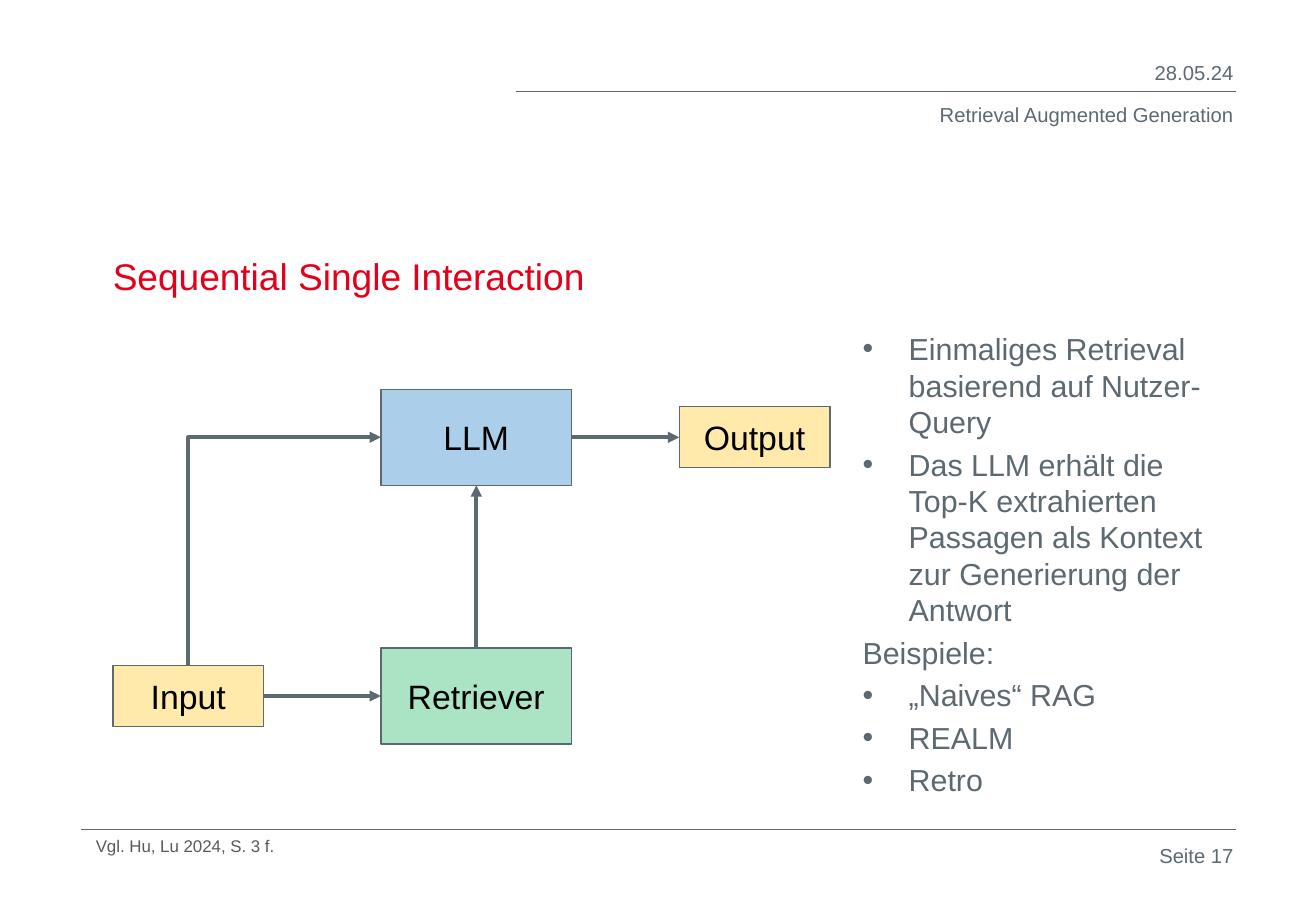
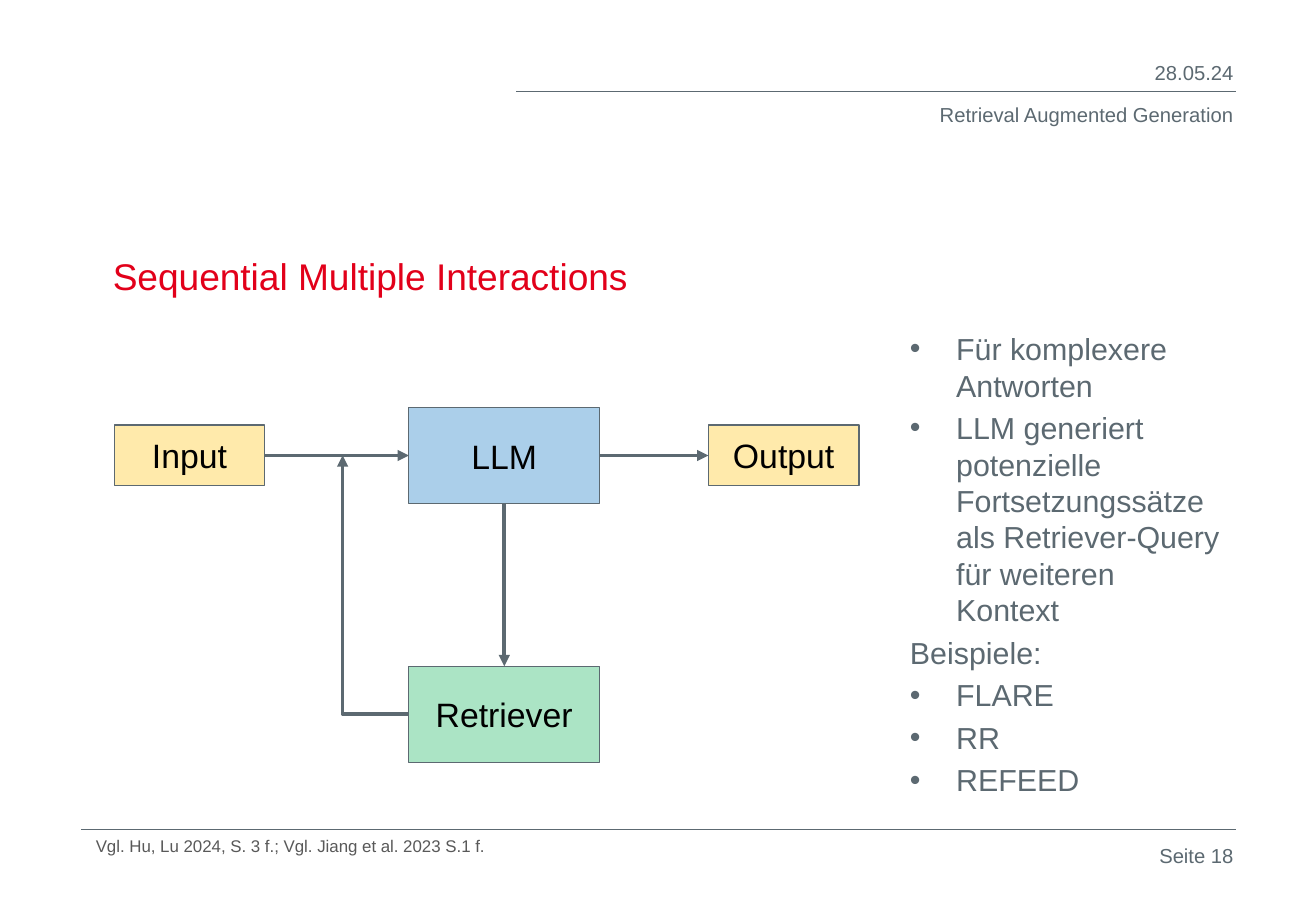
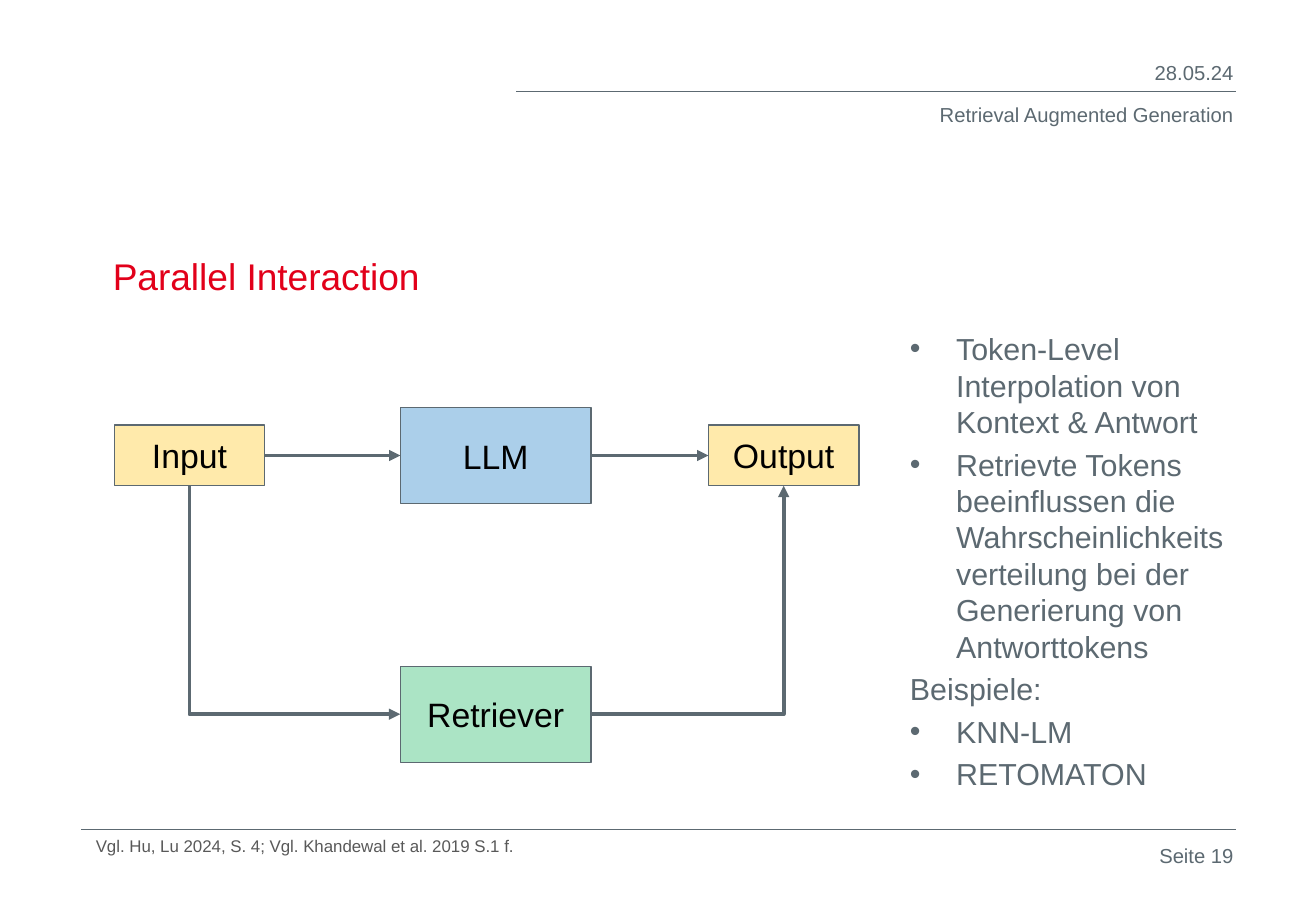
from lxml import etree
from pptx import Presentation
from pptx.dml.color import RGBColor
from pptx.enum.shapes import MSO_CONNECTOR, MSO_SHAPE
from pptx.enum.text import MSO_ANCHOR, PP_ALIGN
from pptx.oxml.ns import qn
from pptx.util import Inches, Pt

STRAIGHT, ELBOW = MSO_CONNECTOR.STRAIGHT, MSO_CONNECTOR.ELBOW
RECTANGLE = MSO_SHAPE.RECTANGLE
LEFT, CENTER, RIGHT = PP_ALIGN.LEFT, PP_ALIGN.CENTER, PP_ALIGN.RIGHT
TOP, MIDDLE, BOTTOM = MSO_ANCHOR.TOP, MSO_ANCHOR.MIDDLE, MSO_ANCHOR.BOTTOM

FONT = "Arial"
COLORS = {
    "slate": "5C6971",
    "red": "E2001A",
    "source": "595959",
    "black": "000000",
    "blue": "0070C0",
    "green": "00B050",
    "amber": "FFC000",
}

# Size and fill of each kind of box in the diagrams
LARGE, SMALL = (1.57, 0.79), (1.24, 0.5)
BOX_STYLES = {
    "LLM": (LARGE, "blue"),
    "Retriever": (LARGE, "green"),
    "Input": (SMALL, "amber"),
    "Output": (SMALL, "amber"),
}
FILL_OPACITY = 33
ROW_GAP = 2.13  # between the centres of the two rows
SIDE_TOP, SIDE_LEFT, SIDE_BOTTOM, SIDE_RIGHT = range(4)

BODY_INDENT = 0.38
BODY_RIGHT = 10.18
EXAMPLES_HEADING = "Beispiele:"


def rgb(name):
    return RGBColor.from_string(COLORS[name])


def add_bullet(paragraph):
    properties = paragraph._p.get_or_add_pPr()
    properties.set("marL", str(Inches(BODY_INDENT)))
    properties.set("indent", str(-Inches(BODY_INDENT)))
    etree.SubElement(properties, qn("a:buFont"), typeface=FONT)
    etree.SubElement(properties, qn("a:buChar"), char="•")


def write(frame, *lines, size=12, color="slate", align=LEFT, anchor=TOP,
          wrap=True, before=0, spacing=None, unbulleted=None):
    """Fill a text frame; lines get bullets, except one, if it is named."""
    frame.word_wrap = wrap
    frame.vertical_anchor = anchor
    for number, line in enumerate(lines):
        paragraph = frame.paragraphs[0] if number == 0 else frame.add_paragraph()
        paragraph.alignment = align
        paragraph.space_before = Pt(before)
        paragraph.line_spacing = spacing
        if unbulleted and line != unbulleted:
            add_bullet(paragraph)
        run = paragraph.add_run()
        run.text = line
        run.font.name, run.font.size = FONT, Pt(size)
        run.font.color.rgb = rgb(color)


def add_text(slide, left, top, width, height, *lines, **text_format):
    area = slide.shapes.add_textbox(*map(Inches, (left, top, width, height)))
    write(area.text_frame, *lines, **text_format)


def add_line(slide, start, end, kind=STRAIGHT, weight=0.25):
    line = slide.shapes.add_connector(kind, *map(Inches, (*start, *end)))
    line.line.color.rgb = rgb("slate")
    line.line.width = Pt(weight)
    etree.SubElement(line._element.spPr, qn("a:effectLst"))
    return line


def add_arrowhead(line, end):
    outline = line._element.spPr.find(qn("a:ln"))
    etree.SubElement(outline, qn(f"a:{end}"), type="triangle")


def add_arrow(slide, source, source_side, target, target_side):
    """Straight arrow joined to the sides of two boxes."""
    arrow = add_line(slide, (0, 0), (0, 0), weight=2.25)
    arrow.begin_connect(source, source_side)
    arrow.end_connect(target, target_side)
    add_arrowhead(arrow, "tailEnd")


def add_corner_arrow(slide, start, end, head):
    """One-bend arrow that leaves start horizontally; head names the pointed end."""
    arrow = add_line(slide, start, end, kind=ELBOW, weight=2.25)
    arrow._element.spPr.find(qn("a:prstGeom")).set("prst", "bentConnector2")
    add_arrowhead(arrow, head)


def add_box(slide, label, center_x, center_y):
    (width, height), color = BOX_STYLES[label]
    box = slide.shapes.add_shape(
        RECTANGLE, Inches(center_x - width / 2), Inches(center_y - height / 2),
        Inches(width), Inches(height))
    box.shadow.inherit = False
    box.fill.solid()
    box.fill.fore_color.rgb = rgb(color)
    tint = box._element.spPr.find(qn("a:solidFill"))[0]
    etree.SubElement(tint, qn("a:alpha"), val=str(FILL_OPACITY * 1000))
    box.line.color.rgb = rgb("slate")
    box.line.width = Pt(0.75)
    write(box.text_frame, label, size=20, color="black", align=CENTER,
          anchor=MIDDLE, wrap=False)
    return box


def add_core(slide, llm_x, output_x, row):
    """LLM with Output beside it and Retriever below it."""
    llm = add_box(slide, "LLM", llm_x, row)
    retriever = add_box(slide, "Retriever", llm_x, row + ROW_GAP)
    output = add_box(slide, "Output", output_x, row)
    add_arrow(slide, llm, SIDE_RIGHT, output, SIDE_LEFT)
    return llm, retriever


def draw_single(slide):
    llm_x, input_x, row = 3.92, 1.55, 3.6
    llm, retriever = add_core(slide, llm_x, 6.21, row)
    query = add_box(slide, "Input", input_x, row + ROW_GAP)
    add_arrow(slide, query, SIDE_RIGHT, retriever, SIDE_LEFT)
    add_arrow(slide, retriever, SIDE_TOP, llm, SIDE_BOTTOM)
    add_corner_arrow(slide, (llm_x - LARGE[0] / 2, row),
                     (input_x, row + ROW_GAP - SMALL[1] / 2), "headEnd")


def draw_multiple(slide):
    llm_x, row, return_x = 4.15, 3.75, 2.82
    llm, retriever = add_core(slide, llm_x, 6.45, row)
    query = add_box(slide, "Input", 1.56, row)
    add_arrow(slide, query, SIDE_RIGHT, llm, SIDE_LEFT)
    add_arrow(slide, llm, SIDE_BOTTOM, retriever, SIDE_TOP)
    add_corner_arrow(slide, (llm_x - LARGE[0] / 2, row + ROW_GAP),
                     (return_x, row), "tailEnd")


def draw_parallel(slide):
    llm_x, input_x, output_x, row = 4.08, 1.56, 6.45, 3.75
    llm, _ = add_core(slide, llm_x, output_x, row)
    query = add_box(slide, "Input", input_x, row)
    add_arrow(slide, query, SIDE_RIGHT, llm, SIDE_LEFT)
    retriever_y, small_bottom = row + ROW_GAP, row + SMALL[1] / 2
    add_corner_arrow(slide, (llm_x - LARGE[0] / 2, retriever_y),
                     (input_x, small_bottom), "headEnd")
    add_corner_arrow(slide, (llm_x + LARGE[0] / 2, retriever_y),
                     (output_x, small_bottom), "tailEnd")


def add_frame(slide, title, page, source):
    """Header, title and footer shared by all slides."""
    add_line(slide, (4.25, 0.75), (10.17, 0.75))
    add_line(slide, (0.67, 6.83), (10.17, 6.83))
    add_text(slide, 8.09, 0.45, 2.16, 0.31, "28.05.24", align=RIGHT)
    add_text(slide, 6.92, 0.79, 3.33, 0.5, "Retrieval Augmented Generation", align=RIGHT)
    add_text(slide, 0.83, 1.58, 9.33, 0.92, title, size=22, color="red", anchor=BOTTOM)
    add_text(slide, 0.69, 6.83, 8.5, 0.27, source, size=10, color="source")
    add_text(slide, 9.25, 6.89, 1, 0.5, f"Seite {page}", align=RIGHT)


def add_body(slide, left, points, examples):
    add_text(slide, left, 2.67, BODY_RIGHT - left, 4,
             *points, EXAMPLES_HEADING, *examples,
             size=18, before=3.6, spacing=Pt(21.6), unbulleted=EXAMPLES_HEADING)


def main():
    presentation = Presentation()
    presentation.slide_width, presentation.slide_height = Inches(10.83), Inches(7.5)
    blank = presentation.slide_layouts[6]

    # Title, source, diagram, left edge of the body, points, examples
    topics = [
        ("Sequential Single Interaction", "Vgl. Hu, Lu 2024, S. 3 f.", draw_single, 7,
         ["Einmaliges Retrieval basierend auf Nutzer-Query",
          "Das LLM erhält die Top-K extrahierten Passagen als Kontext "
          "zur Generierung der Antwort"],
         ["„Naives“ RAG", "REALM", "Retro"]),
        ("Sequential Multiple Interactions",
         "Vgl. Hu, Lu 2024, S. 3 f.; Vgl. Jiang et al. 2023 S.1 f.", draw_multiple, 7.39,
         ["Für komplexere Antworten",
          "LLM generiert potenzielle Fortsetzungssätze als Retriever-Query "
          "für weiteren Kontext"],
         ["FLARE", "RR", "REFEED"]),
        ("Parallel Interaction",
         "Vgl. Hu, Lu 2024, S. 4; Vgl. Khandewal et al. 2019 S.1 f.", draw_parallel, 7.39,
         ["Token-Level Interpolation von Kontext & Antwort",
          "Retrievte Tokens beeinflussen die Wahrscheinlichkeitsverteilung "
          "bei der Generierung von Antworttokens"],
         ["KNN-LM", "RETOMATON"]),
    ]
    for page, (title, source, draw_diagram, left, points, examples) in enumerate(topics, 17):
        slide = presentation.slides.add_slide(blank)
        add_frame(slide, title, page, source)
        add_body(slide, left, points, examples)
        draw_diagram(slide)

    presentation.save("out.pptx")


if __name__ == "__main__":
    main()
